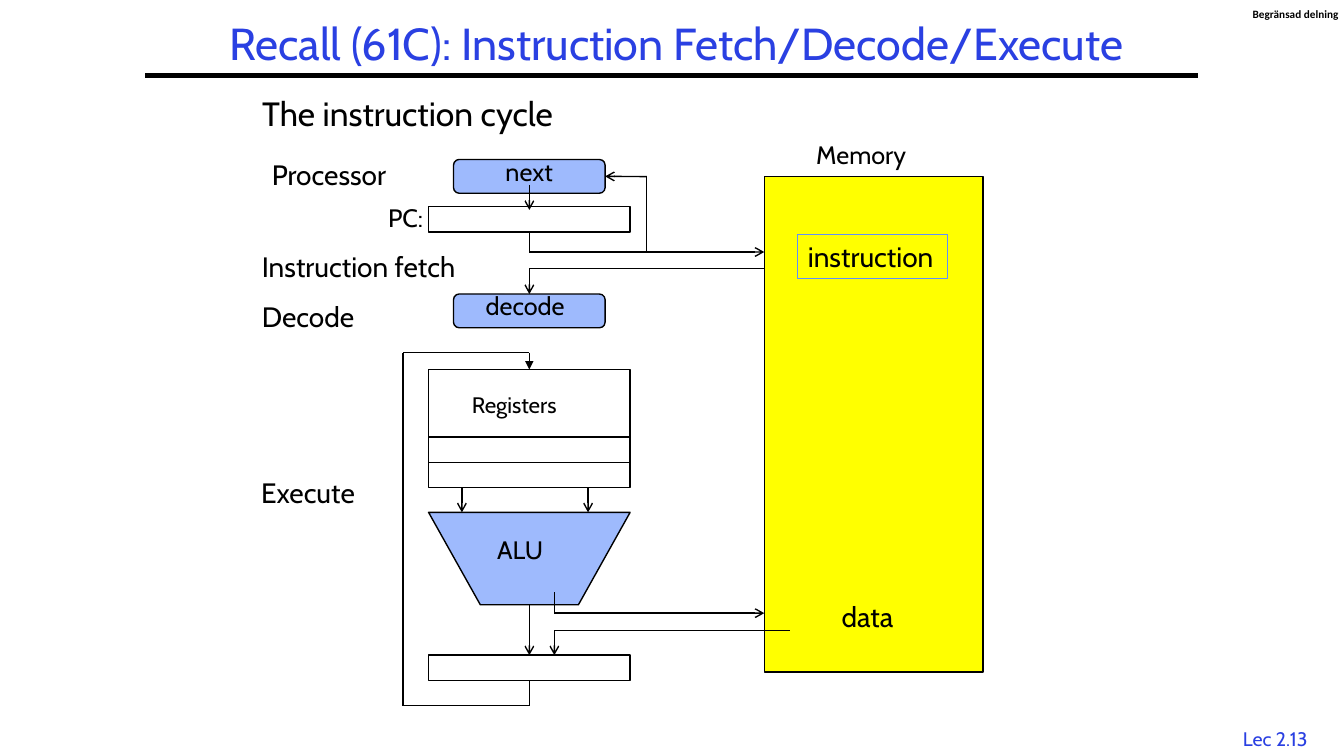
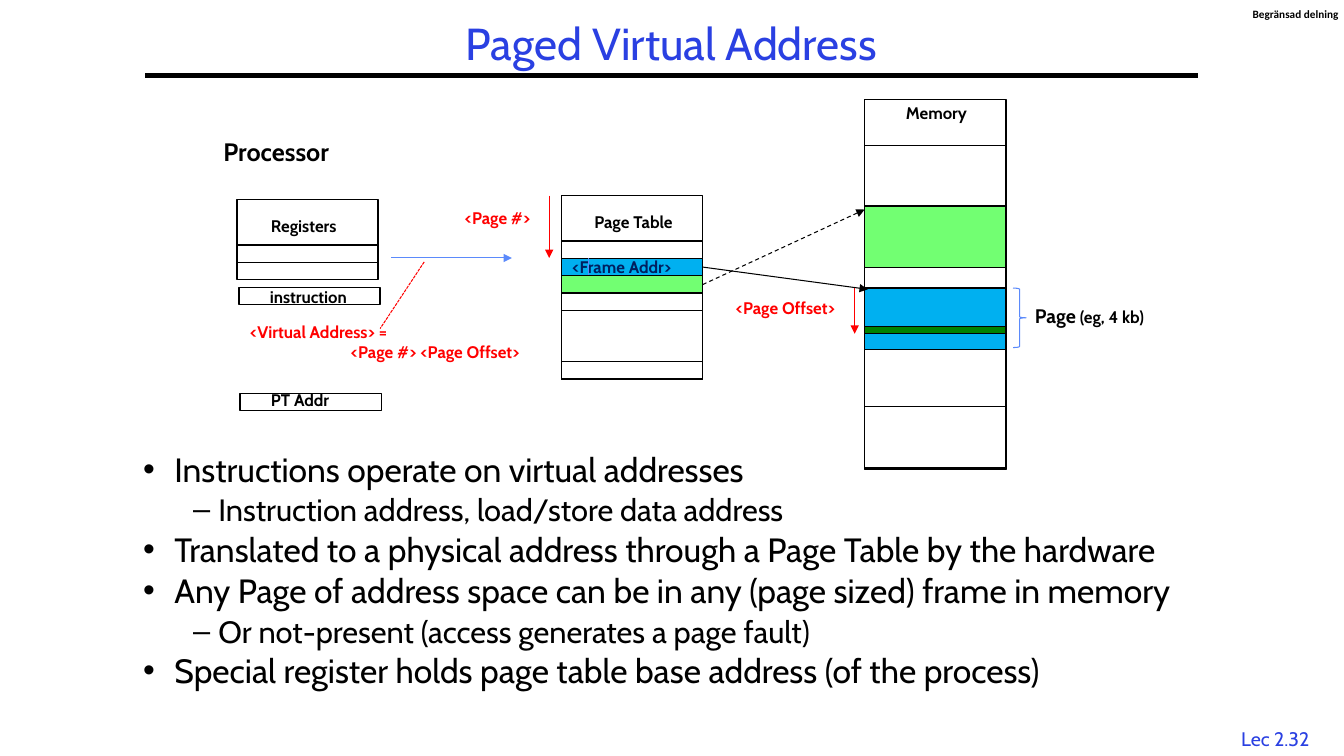
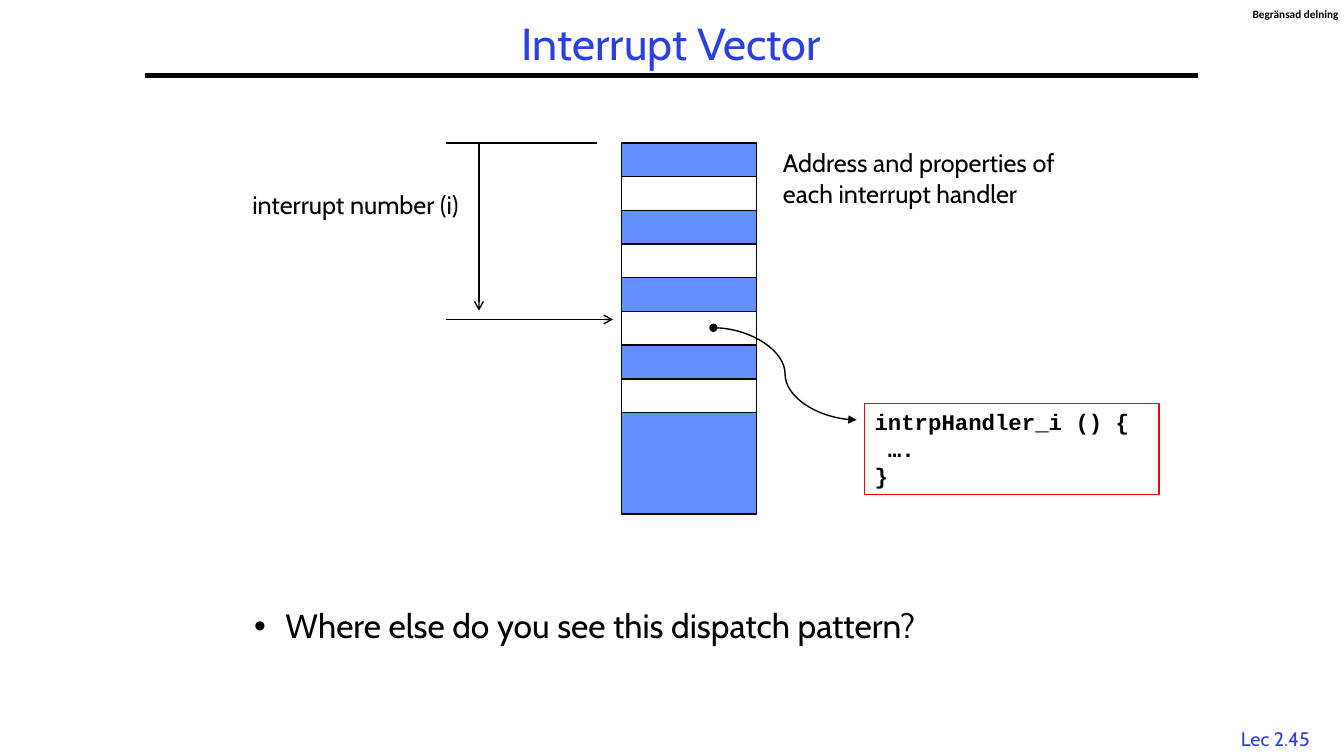
import lxml.etree
import pptx
import pptx.dml.color
import pptx.enum.dml
import pptx.enum.shapes
import pptx.enum.text
import pptx.oxml.ns
import pptx.util

Cm = pptx.util.Cm
Pt = pptx.util.Pt
qn = pptx.oxml.ns.qn
SHAPE = pptx.enum.shapes.MSO_SHAPE
CONNECTOR = pptx.enum.shapes.MSO_CONNECTOR
ALIGN = pptx.enum.text.PP_ALIGN
FIT = pptx.enum.text.MSO_AUTO_SIZE
DASH = pptx.enum.dml.MSO_LINE

FONT = "Cabin"
COLORS = {
    "black": "000000", "white": "FFFFFF", "title": "2A40E2",
    "blue": "618FFD", "arrow": "5B8AFB", "yellow": "FFFF00",
    "red": "FF0000", "sky": "00B0F0", "lime": "72FF72",
    "green": "008200", "navy": "002060",
}
TOP, BOTTOM, RIGHT = 0, 2, 3  # connection sites of a rectangle


def rgb(name):
    return pptx.dml.color.RGBColor.from_string(COLORS[name])


def format_runs(paragraph, size, color="black", bold=False, font=FONT):
    for run in paragraph.runs:
        run.font.size = Pt(size)
        run.font.name = font
        run.font.bold = bold
        run.font.color.rgb = rgb(color)


def place(shape, left, top, width, height):
    shape.left, shape.top = Cm(left), Cm(top)
    shape.width, shape.height = Cm(width), Cm(height)


# --- Element kinds -----------------------------------------------------

def add_box(slide, left, top, width, height, fill=None, kind=SHAPE.RECTANGLE,
            line="black", weight=1, opacity=None):
    box = slide.shapes.add_shape(kind, Cm(left), Cm(top), Cm(width), Cm(height))
    box.shadow.inherit = False
    box.line.color.rgb = rgb(line)
    box.line.width = Pt(weight)
    if fill is None:
        box.fill.background()
    else:
        box.fill.solid()
        box.fill.fore_color.rgb = rgb(fill)
    if opacity is not None:
        color = box.element.spPr.find(qn("a:solidFill"))[0]
        lxml.etree.SubElement(color, qn("a:alpha")).set("val", str(opacity * 1000))
    return box


def add_label(slide, left, top, width, text, size, color="black", bold=False,
              font=FONT, wrap=False, align=ALIGN.LEFT, rows=1):
    lines = text.split("\n")
    height = 0.25 + 0.043 * size * max(rows, len(lines))
    label = slide.shapes.add_textbox(Cm(left), Cm(top), Cm(width), Cm(height))
    frame = label.text_frame
    frame.text = text
    frame.word_wrap = wrap
    frame.auto_size = FIT.SHAPE_TO_FIT_TEXT
    for paragraph in frame.paragraphs:
        paragraph.alignment = align
        format_runs(paragraph, size, color, bold, font)
    return label


def add_line(slide, start, end, color="black", weight=1, head=None, tail=None,
             dash=None, kind=CONNECTOR.STRAIGHT, begin_at=None, end_at=None):
    line = slide.shapes.add_connector(kind, *(Cm(v) for v in (*start, *end)))
    if begin_at:
        line.begin_connect(*begin_at)
    if end_at:
        line.end_connect(*end_at)
    line.line.color.rgb = rgb(color)
    line.line.width = Pt(weight)
    if dash:
        line.line.dash_style = dash
    outline = line.element.spPr.find(qn("a:ln"))
    for tag, arrow in (("a:headEnd", head), ("a:tailEnd", tail)):
        if arrow:
            lxml.etree.SubElement(outline, qn(tag)).set("type", arrow)
    lxml.etree.SubElement(line.element.spPr, qn("a:effectLst"))
    return line


def add_route(slide, points, tail="arrow", begin_at=None, end_at=None):
    """Straight segments through the points, with the arrowhead on the last."""
    last = len(points) - 2
    for i, (start, end) in enumerate(zip(points, points[1:])):
        add_line(slide, start, end, tail=tail if i == last else None,
                 begin_at=begin_at if i == 0 else None,
                 end_at=end_at if i == last else None)


def fill_body(slide, area, items, spacing=0.9, bullets=True):
    """items holds pairs of level and text."""
    body = slide.placeholders[1]
    place(body, *area)
    frame = body.text_frame
    frame.auto_size = FIT.NONE
    frame.text = "\n".join(text for _, text in items)
    styles = [("•", 24, 0.79, -0.79), ("–", 22, 1.9, -0.64)]
    for i, (paragraph, (level, _)) in enumerate(zip(frame.paragraphs, items)):
        mark, size, margin, indent = styles[level]
        paragraph.level = level
        props = paragraph._p.get_or_add_pPr()
        props.set("marL", str(Cm(margin) if bullets else 0))
        props.set("indent", str(Cm(indent) if bullets else 0))
        if bullets:
            lxml.etree.SubElement(props, qn("a:buChar")).set("char", mark)
        else:
            lxml.etree.SubElement(props, qn("a:buNone"))
        paragraph.line_spacing = spacing
        paragraph.space_before = Pt(6.5 if i else 0)
        format_runs(paragraph, size)


def start_slide(deck, title, number, left=3.66, width=26.52):
    """Title, rule, classification and lecture number of every slide."""
    slide = deck.slides.add_slide(deck.slide_layouts[1])
    heading = slide.shapes.title
    place(heading, left, 0.43, width, 1.47)
    frame = heading.text_frame
    frame.text = title
    frame.auto_size = FIT.NONE
    frame.vertical_anchor = pptx.enum.text.MSO_ANCHOR.MIDDLE
    frame.paragraphs[0].alignment = ALIGN.CENTER
    frame.paragraphs[0].line_spacing = 0.9
    format_runs(frame.paragraphs[0], 32, "title")

    add_line(slide, (3.66, 1.9), (30.2, 1.9), weight=3)
    add_label(slide, 30.91, 18.19, 2.46, f"Lec {number}", 14, "title",
              align=ALIGN.CENTER)
    marking = add_label(slide, 31.57, 0.18, 2.18, "Begränsad delning", 8,
                        bold=True, font="Calibri", wrap=True)
    margins = marking.text_frame
    margins.margin_left = margins.margin_right = 0
    margins.margin_top = margins.margin_bottom = 0
    marking.height = Cm(0.33)
    return slide


# --- Slides ------------------------------------------------------------

def instruction_cycle(deck):
    slide = start_slide(deck, "Recall (61C): Instruction Fetch/Decode/Execute",
                        "2.13", 4.45, 25.2)
    fill_body(slide, (6.35, 2.34, 21.16, 1.27), [(0, "The instruction cycle")],
              bullets=False)

    # Processor parts share one column; memory stands to the right
    left, width, row = 10.8, 5.08, 0.64
    middle = left + width / 2
    memory_left = 19.26
    add_box(slide, memory_left, 4.45, 5.51, 12.49, "yellow")
    counter = add_box(slide, left, 5.21, width, row)
    next_step, decoder = [
        add_box(slide, middle - 1.91, top, 3.82, 0.85, "blue",
                SHAPE.ROUNDED_RECTANGLE, opacity=61) for top in (4.02, 7.41)]
    registers = add_box(slide, left, 9.31, width, 2.97)
    add_box(slide, left, 11.01, width, row)
    alu = add_box(slide, left, 12.91, width, 2.33, "blue", SHAPE.TRAPEZOID,
                  opacity=61)
    alu.adjustments[0] = 0.56
    alu.rotation = 180
    result = add_box(slide, left, 16.51, width, row)

    # Fetch and decode
    add_route(slide, [(middle, 4.66), (middle, 5.29)])
    add_route(slide, [(middle, 5.85), (middle, 6.35), (memory_left, 6.35)],
              begin_at=(counter, BOTTOM))
    add_route(slide, [(16.3, 6.35), (16.3, 4.45), (15.25, 4.45)],
              end_at=(next_step, RIGHT))
    add_route(slide, [(memory_left, 6.77), (middle, 6.77), (middle, 7.41)],
              end_at=(decoder, TOP))

    # Execute
    for x in (11.64, 14.82):
        add_route(slide, [(x, 12.28), (x, 12.91)])
    add_route(slide, [(middle, 15.24), (middle, 16.51)], end_at=(result, TOP))
    add_route(slide, [(13.97, 14.93), (13.97, 15.45), (memory_left, 15.45)])
    add_route(slide, [(19.9, 15.88), (13.97, 15.88), (13.97, 16.51)])
    add_route(slide, [(middle, 17.15), (middle, 17.78), (10.16, 17.78),
                      (10.16, 8.89), (middle, 8.89), (middle, 9.31)],
              tail="triangle", begin_at=(result, BOTTOM),
              end_at=(registers, TOP))

    for label in [
        (6.6, 3.84, 3.71, "Processor", 20),
        (6.35, 6.15, 5.54, "Instruction fetch", 20),
        (6.35, 7.41, 2.97, "Decode", 20),
        (6.33, 11.86, 3.1, "Execute", 20),
        (9.53, 4.98, 1.57, "PC:", 18),
        (12.49, 3.81, 1.73, "next", 18),
        (11.99, 7.2, 2.62, "decode", 18),
        (11.64, 9.74, 2.92, "Registers", 16),
        (12.28, 13.34, 1.75, "ALU", 18),
        (20.32, 3.38, 2.82, "Memory", 18),
        (20.96, 14.99, 1.91, "data", 20),
    ]:
        add_label(slide, *label)
    instruction = add_label(slide, 20.11, 5.92, 3.76, "instruction", 20)
    instruction.line.color.rgb = rgb("blue")
    instruction.line.width = Pt(0.75)


def paged_address(deck):
    slide = start_slide(deck, "Paged Virtual Address", "2.32")
    fill_body(slide, (3.35, 11.38, 26.49, 6.93), [
        (0, "Instructions operate on virtual addresses"),
        (1, "Instruction address, load/store data address"),
        (0, "Translated to a physical address through a Page Table by the hardware"),
        (0, "Any Page of address space can be in any (page sized) frame in memory"),
        (1, "Or not-present (access generates a page fault)"),
        (0, "Special register holds page table base address (of the process)"),
    ], spacing=0.8)
    width, row, frame_height = 3.56, 0.44, 1.55

    # Processor
    add_box(slide, 5.97, 5.03, width, 2.01)
    for left, top in [(5.97, 6.17), (6.02, 7.24), (6.05, 9.91)]:
        add_box(slide, left, top, width, row)

    # Page table
    table_left = 14.15
    add_box(slide, table_left, 4.93, width, 4.62)
    _, entry, other_entry, _ = [
        add_box(slide, table_left, 6.07 + i * row, width, row, fill)
        for i, fill in enumerate((None, "sky", "lime", None))]
    add_box(slide, table_left, 9.11, width, row)

    # Memory frames
    memory_left = 21.79
    add_box(slide, memory_left, 2.51, width, 9.32)
    for top, fill in [(3.66, None), (5.19, "lime"), (7.26, "sky"), (10.24, None)]:
        add_box(slide, memory_left, top, width, frame_height, fill)
    add_box(slide, memory_left, 8.23, width, 0.18, "green")
    add_box(slide, 25.53, 7.26, 0.33, 1.5, kind=SHAPE.RIGHT_BRACE,
            line="arrow", weight=0.75)

    # Labels
    add_label(slide, 5.38, 3.3, 3.66, "Processor", 18, bold=True)
    for left, top, label_width, text, color in [
        (6.58, 5.31, 2.46, "Registers", "black"),
        (6.55, 7.09, 2.72, "instruction", "black"),
        (6.58, 9.7, 2.16, "PT Addr", "black"),
        (14.73, 5.21, 2.74, "Page Table", "black"),
        (22.58, 2.46, 2.16, "Memory", "black"),
        (11.46, 5.11, 2.51, "<Page #>", "red"),
        (14.17, 6.35, 3.51, "<Frame Addr>", "navy"),
        (18.29, 7.39, 3.51, "<Page Offset>", "red"),
    ]:
        add_label(slide, left, top, label_width, text, 12, color, bold=True)
    address = add_label(slide, 6.05, 7.98, 8.33,
                        "<Virtual Address> =\n<Page #> <Page Offset>", 12,
                        "red", bold=True, wrap=True)
    address.text_frame.paragraphs[1]._p.get_or_add_pPr().set("marL", str(Cm(2.54)))
    page = add_label(slide, 25.83, 7.54, 3.71, "Page", 14, bold=True)
    paragraph = page.text_frame.paragraphs[0]
    paragraph.add_run().text = " (eg, 4 kb)"
    format_runs(paragraph, 14, bold=True)
    paragraph.runs[1].font.size = Pt(12)

    # Translation arrows
    for start, end, color, style in [
        ((9.86, 6.5), (12.9, 6.5), "arrow", {"tail": "triangle"}),
        ((10.69, 6.6), (9.58, 8.28), "red", {"dash": DASH.SQUARE_DOT}),
        ((13.84, 4.93), (13.84, 6.5), "red", {"tail": "triangle"}),
        ((21.54, 7.26), (21.54, 8.41), "red", {"tail": "triangle"}),
        ((14.83, 6.5), (14.83, 6.93), "arrow", {}),
        ((17.71, 6.73), (21.87, 7.29), "black",
         {"tail": "triangle", "begin_at": (entry, RIGHT)}),
        ((17.71, 7.17), (memory_left, 5.28), "black",
         {"tail": "triangle", "dash": DASH.DASH,
          "begin_at": (other_entry, RIGHT)}),
    ]:
        add_line(slide, start, end, color, 0.75, **style)


def interrupt_vector(deck):
    slide = start_slide(deck, "Interrupt Vector", "2.45")
    fill_body(slide, (6.15, 15.24, 21.16, 2.34),
              [(0, "Where else do you see this dispatch pattern?")])

    # Vector with every second entry white
    left, top, width, row = 15.67, 3.6, 3.39, 0.85
    add_box(slide, left, top, width, 11 * row, "blue")
    for i in range(4):
        add_box(slide, left, top + (2 * i + 1) * row, width, row, "white")

    # Index into the vector
    add_line(slide, (15.04, top), (11.23, top))
    add_line(slide, (12.07, top), (12.07, 7.83), tail="arrow")
    add_line(slide, (11.23, 8.05), (15.45, 8.05), tail="arrow")
    add_label(slide, 4.65, 4.65, 7.16, "interrupt number (i)", 18, wrap=True,
              align=ALIGN.RIGHT)
    add_label(slide, 19.48, top, 7.62,
              "Address and properties of each interrupt handler", 18,
              wrap=True, rows=2)

    # Handler
    add_line(slide, (17.98, 8.26), (21.59, 10.58), head="oval",
             tail="triangle", kind=CONNECTOR.CURVE)
    handler = add_label(slide, 21.79, 10.16, 7.42,
                        "intrpHandler_i () {\n ….\n}", 16, bold=True,
                        font="Courier New", wrap=True)
    handler.line.color.rgb = rgb("red")
    handler.line.width = Pt(0.75)


def main():
    deck = pptx.Presentation()
    deck.slide_width, deck.slide_height = Cm(33.87), Cm(19.05)
    instruction_cycle(deck)
    paged_address(deck)
    interrupt_vector(deck)
    deck.save("out.pptx")


if __name__ == "__main__":
    main()
